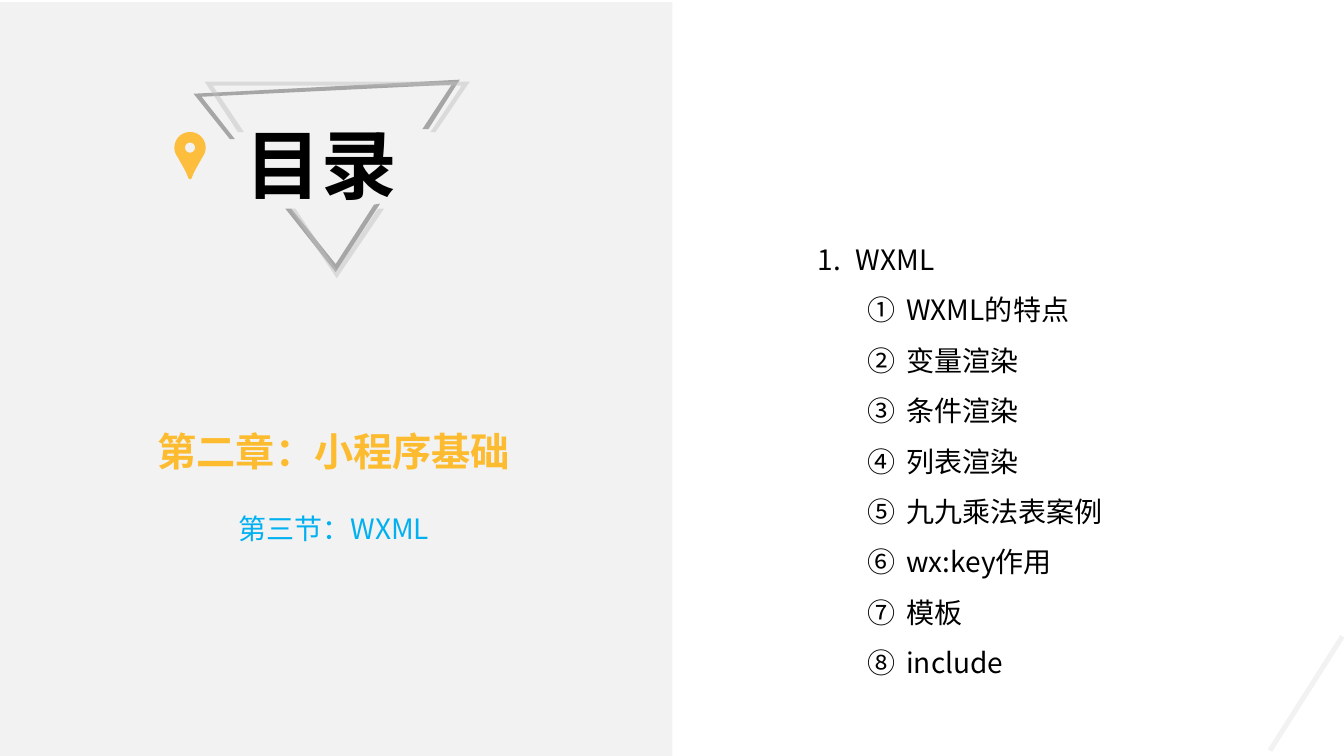
import math
from lxml import etree
from pptx import Presentation
from pptx import util as u
from pptx.dml import color
from pptx.enum import shapes, text
from pptx.oxml import ns

PX = 9144
FONT = "Noto Sans CJK SC"
COLORS = {
    "panel": "F2F2F2",
    "amber": "FDBB2F",
    "blue": "00B0F0",
    "ink": "000000",
    "dark_frame": "A6A6A6",
    "light_frame": "BFBFBF",
    "pin_shadow": "D9D9D9",
}
TOPICS = ["WXML的特点", "变量渲染", "条件渲染", "列表渲染",
          "九九乘法表案例", "wx:key作用", "模板", "include"]
DARK_FRAME = [
    [(91, 128), (97, 128), (141, 183), (179, 124), (185, 123), (141, 191)],
    [(0, 14), (264, 0), (233, 49), (227, 49), (256, 5), (8, 17), (41, 59), (36, 59)],
]
LIGHT_FRAME = [
    [(96, 128), (101, 128), (142, 189), (183, 128), (189, 128), (142, 197)],
    [(11, 2), (274, 2), (240, 52), (235, 52), (266, 6), (19, 6), (50, 52), (44, 52)],
]


def px(value):
    return u.Emu(round(value * PX))


def child(parent, tag, **attributes):
    return etree.SubElement(parent, ns.qn(tag), attributes)


def paint(shape, name, alpha=100):
    shape.shadow.inherit = False
    shape.line.fill.background()
    shape.fill.solid()
    shape.fill.fore_color.rgb = color.RGBColor.from_string(COLORS[name])
    if alpha < 100:
        rgb = shape.fill._xPr.find(".//" + ns.qn("a:srgbClr"))
        child(rgb, "a:alpha", val=str(alpha * 1000))
    return shape


def add_preset(slide, kind, box, name, alpha=100):
    return paint(slide.shapes.add_shape(kind, *map(px, box)), name, alpha)


def add_outline(slide, left, top, contours, name, alpha=100):
    placed = [[(px(left + x), px(top + y)) for x, y in contour] for contour in contours]
    builder = slide.shapes.build_freeform(*placed[0][0], scale=1.0)
    for index, contour in enumerate(placed):
        if index:
            builder.move_to(*contour[0])
        builder.add_line_segments(contour[1:], close=True)
    return paint(builder.convert_to_shape(), name, alpha)


def add_text_frame(slide, box, wrap=True):
    frame = slide.shapes.add_textbox(*map(px, box)).text_frame
    frame.word_wrap = wrap
    frame.auto_size = text.MSO_AUTO_SIZE.SHAPE_TO_FIT_TEXT
    return frame


def add_run(paragraph, words, size, name, bold=False):
    run = paragraph.add_run()
    run.text = words
    run.font.size = u.Pt(size)
    run.font.bold = bold
    run.font.name = FONT
    run.font.color.rgb = color.RGBColor.from_string(COLORS[name])
    child(run.font._element, "a:ea", typeface=FONT)


def add_heading(slide, box, words, size, name, bold=False):
    paragraph = add_text_frame(slide, box).paragraphs[0]
    paragraph.alignment = text.PP_ALIGN.CENTER
    add_run(paragraph, words, size, name, bold)


def arc(center_x, center_y, radius, start, end, steps=48):
    angles = [math.radians(start + (end - start) * i / steps) for i in range(steps + 1)]
    return [(center_x + radius * math.cos(a), center_y + radius * math.sin(a)) for a in angles]


def add_pin(slide, left, top, width, height):
    middle = width / 2
    tip = [(21, 37), (19, 41), (17, 46), (middle, height), (14, 46), (12, 41), (10, 37)]
    head = arc(middle, middle, middle, 143, 397)
    hole = arc(middle, middle, 5, 0, 360)
    add_outline(slide, left, top, [head + tip, hole], "amber", 93)
    shadow = add_preset(slide, shapes.MSO_SHAPE.OVAL, (left, top + 58, width, 11),
                        "pin_shadow", 82)
    effects = shadow._element.spPr.find(ns.qn("a:effectLst"))
    child(effects, "a:softEdge", rad=str(px(7)))


def add_title_badge(slide, left, top):
    add_outline(slide, left, top, DARK_FRAME, "dark_frame")
    add_outline(slide, left, top, LIGHT_FRAME, "light_frame", 47)
    frame = add_text_frame(slide, (left + 42, top + 33, 172, 101), wrap=False)
    add_run(frame.paragraphs[0], "目录", 54, "ink", True)
    add_pin(slide, left - 19, top + 52, 31, 47)


def add_chapter_panel(slide, left, top, width, height):
    add_preset(slide, shapes.MSO_SHAPE.RECTANGLE, (left, top, width, height), "panel")
    add_title_badge(slide, left + 192, top + 77)
    add_heading(slide, (left + 90, top + 417, 482, 57), "第二章：小程序基础", 28, "amber", True)
    add_heading(slide, (left + 90, top + 501, 482, 44), "第三节：WXML", 20, "blue")


def add_topic_list(slide, left, top, width, height):
    frame = add_text_frame(slide, (left, top, width, height))
    entries = [("WXML", 0, 38, "arabicPeriod")]
    entries += [(topic, 1, 88, "circleNumDbPlain") for topic in TOPICS]
    for index, (words, level, indent, numbering) in enumerate(entries):
        paragraph = frame.add_paragraph() if index else frame.paragraphs[0]
        paragraph.level = level
        paragraph.line_spacing = 1.5
        properties = paragraph._p.get_or_add_pPr()
        properties.set("marL", str(px(indent)))
        properties.set("indent", str(px(-38)))
        child(properties, "a:buFont", typeface="+mj-lt")
        child(properties, "a:buAutoNum", type=numbering)
        add_run(paragraph, words, 20, "ink")


def add_corner_stroke(slide, left, top, width, height):
    stroke = add_preset(slide, shapes.MSO_SHAPE.RECTANGLE, (left, top, width, height), "panel")
    stroke.rotation = 32.4


def main():
    presentation = Presentation()
    presentation.slide_width = px(1333)
    presentation.slide_height = px(750)
    slide = presentation.slides.add_slide(presentation.slide_layouts[6])
    add_chapter_panel(slide, 0, 2, 667, 748)
    add_corner_stroke(slide, 1293, 621, 5, 134)
    add_topic_list(slide, 801, 219, 435, 464)
    presentation.save("out.pptx")


if __name__ == "__main__":
    main()
